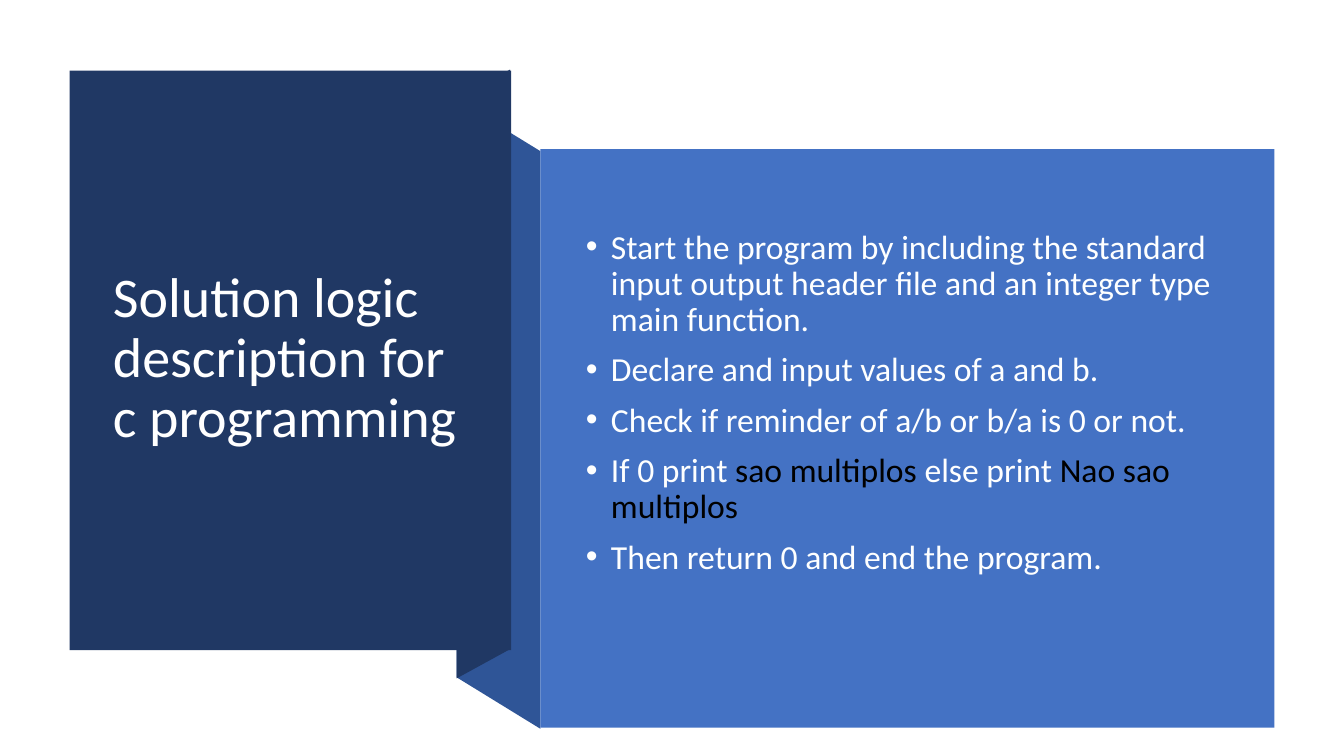
from pptx import Presentation, util as u
from pptx.dml.color import RGBColor
from pptx.enum import shapes, text
from lxml import etree

NAVY, MID, BLUE = "203864", "2F5597", "4472C4"
WHITE, SOFT, BLACK = "FFFFFF", "FEFFFF", "000000"


def paint(form, tone):
    form.fill.solid()
    form.fill.fore_color.rgb = RGBColor.from_string(tone)


def style(run, size, tone):
    run.font.name = "Calibri"
    run.font.size = u.Pt(size)
    paint(run.font, tone)


deck = Presentation()
deck.slide_width, deck.slide_height = u.Inches(13.33), u.Inches(7.5)
slide = deck.slides.add_slide(deck.slide_layouts[1])
title, body = slide.placeholders

folds = [
    (MID, [(5.36, 7.23), (4.53, 6.72), (4.53, 0.99), (5.36, 1.5)]),
    (NAVY, [(5.06, 6.44), (4.53, 6.73), (4.53, 0.98), (5.06, 0.69)]),
]
panels = []
for tone, points in folds:
    spots = [(u.Inches(x), u.Inches(y)) for x, y in points]
    pen = slide.shapes.build_freeform(*spots[0])
    pen.add_line_segments(spots[1:], close=True)
    panels.append((pen.convert_to_shape(), tone))

for tone, box in [(NAVY, (0.69, 0.7, 4.38, 5.75)), (BLUE, (5.36, 1.48, 7.28, 5.74))]:
    rect = slide.shapes.add_shape(shapes.MSO_SHAPE.RECTANGLE, *map(u.Inches, box))
    panels.append((rect, tone))

for panel, tone in panels:
    paint(panel, tone)
    panel.line.fill.background()
    panel.shadow.inherit = False

for holder, box in [(title, (1.02, 1.07, 3.71, 4.99)), (body, (5.71, 1.88, 6.51, 4.74))]:
    holder.left, holder.top, holder.width, holder.height = map(u.Inches, box)
    slide.shapes.element.append(holder.element)
    frame = holder.text_frame
    frame.word_wrap = True
    frame.auto_size = text.MSO_AUTO_SIZE.NONE
    frame.vertical_anchor = text.MSO_ANCHOR.MIDDLE

title.text_frame.text = "Solution logic description for c programming"
head = title.text_frame.paragraphs[0]
head.alignment = text.PP_ALIGN.LEFT
head.line_spacing = 0.9
style(head.runs[0], 40, WHITE)

steps = [
    [("Start the program by including the standard input output header file "
      "and an integer type main function.", SOFT)],
    [("Declare and input values of a and b.", SOFT)],
    [("Check if reminder of a/b or b/a is 0 or not.", SOFT)],
    [("If 0 print ", SOFT), ("sao multiplos ", BLACK),
     ("else print ", WHITE), ("Nao sao multiplos", BLACK)],
    [("Then return 0 and end the program.", SOFT)],
]
frame = body.text_frame
frame.margin_bottom = u.Inches(0.55)
for i, step in enumerate(steps):
    para = frame.add_paragraph() if i else frame.paragraphs[0]
    para.line_spacing = 0.9
    para.space_before = u.Pt(10)
    for words, tone in step:
        run = para.add_run()
        run.text = words
        style(run, 24, tone)
    props = para._p.get_or_add_pPr()
    props.set("marL", str(u.Inches(0.25)))
    props.set("indent", str(u.Inches(-0.25)))
    space = "{http://schemas.openxmlformats.org/drawingml/2006/main}"
    etree.SubElement(props, space + "buFont", typeface="Arial")
    etree.SubElement(props, space + "buChar", char="•")

deck.save("out.pptx")
